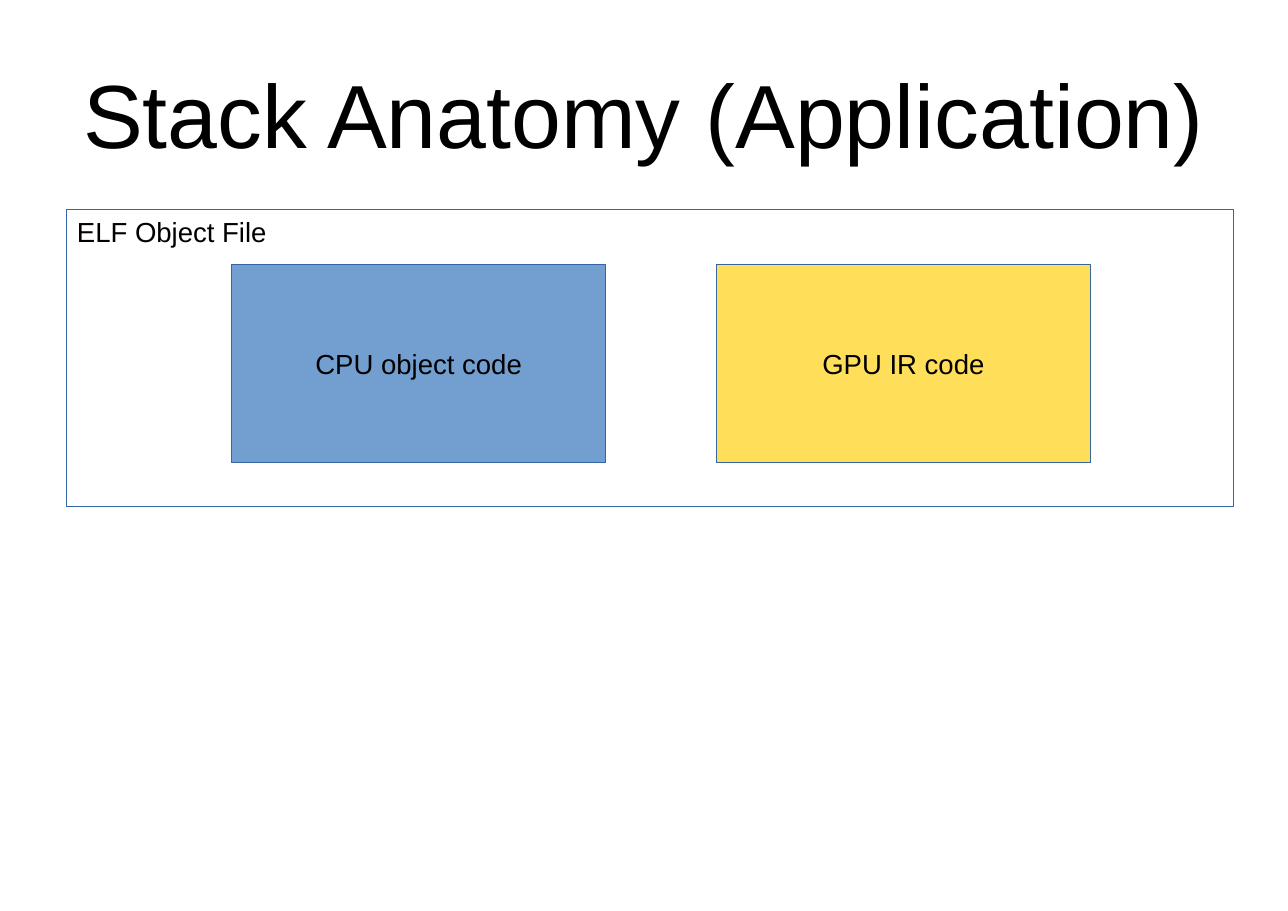
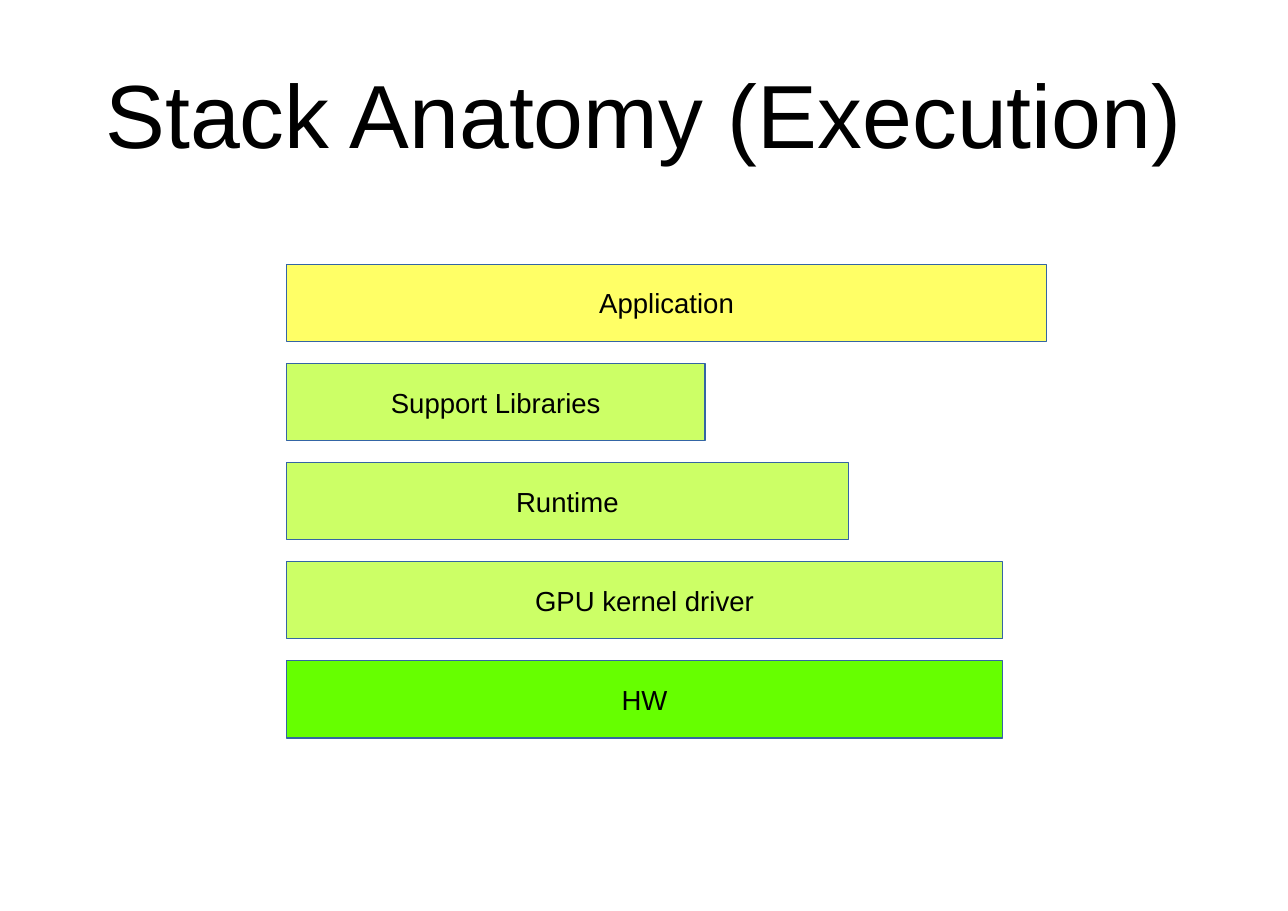
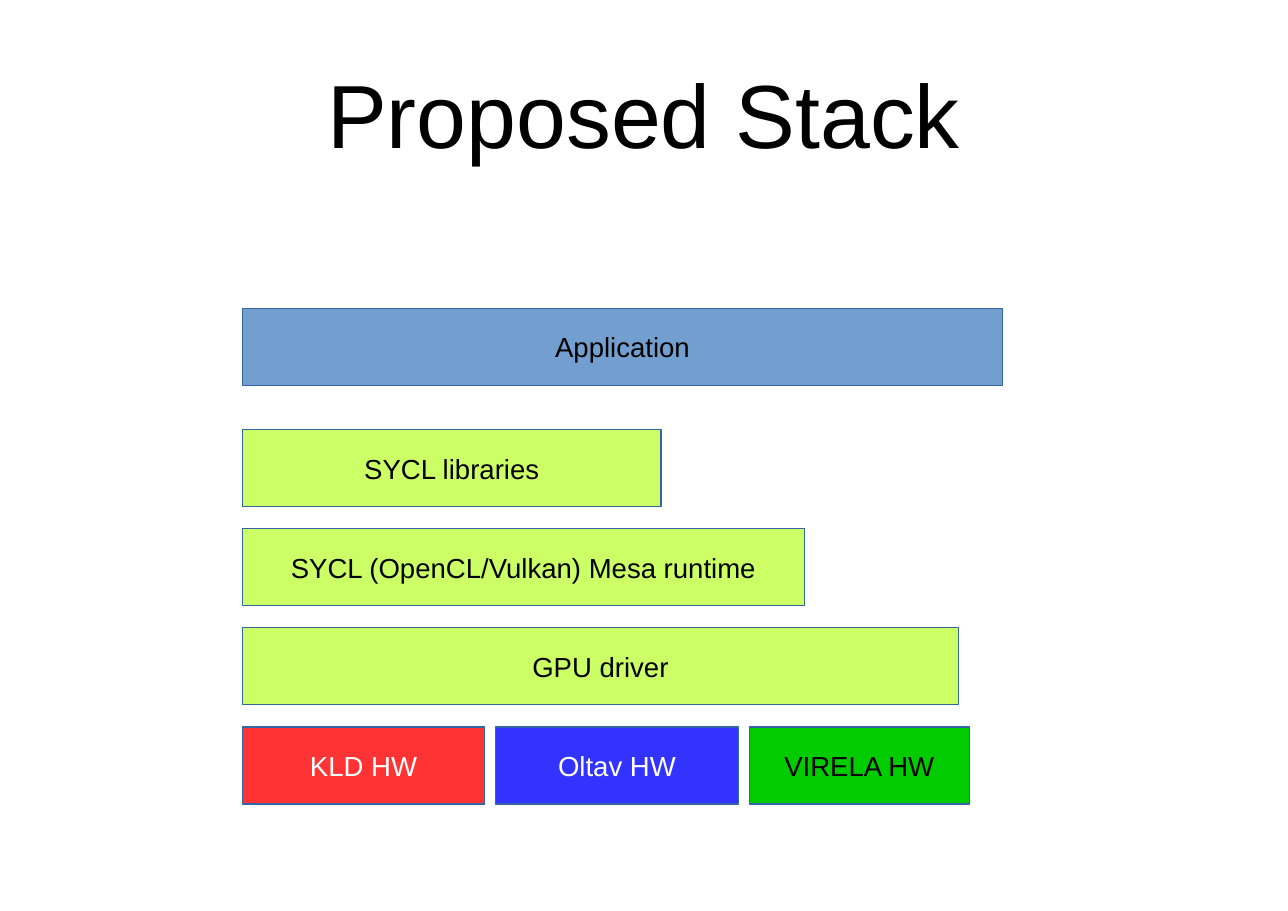
"""Build three slides that show the layers of a GPU compute stack."""
from dataclasses import dataclass

from pptx import Presentation
from pptx.dml.color import RGBColor
from pptx.enum.shapes import MSO_SHAPE
from pptx.enum.text import MSO_ANCHOR as Anchor, MSO_AUTO_SIZE as AutoSize, PP_ALIGN as Align
from pptx.util import Inches, Pt


@dataclass(frozen=True)
class Theme:
    font: str = "Arial"
    title_size: float = 58.6
    body_size: float = 18
    black: str = "000000"
    white: str = "FFFFFF"
    outline: str = "3465A4"
    blue: str = "729FCF"
    amber: str = "FFDE59"
    yellow: str = "FFFF66"
    lime: str = "CCFF66"
    green: str = "66FF00"
    red: str = "FF3333"
    deep_blue: str = "3333FF"
    deep_green: str = "00CC00"


THEME = Theme()
SLIDE_SIZE = (11.69, 8.27)
TITLE_BOX = (0.58, 0.33, 10.52, 1.38)
TITLE_ONLY = 5

OBJECT_FILE = {
    "title": "Stack Anatomy (Application)",
    "label": "ELF Object File",
    "frame": (0.6, 1.9, 10.6, 2.7),
    "parts": [("CPU object code", THEME.blue), ("GPU IR code", THEME.amber)],
}
PART_LEFT, PART_TOP, PART_WIDTH, PART_HEIGHT, PART_GAP = 2.1, 2.4, 3.4, 1.8, 1

LAYER_HEIGHT, LAYER_GAP, COLUMN_GAP = 0.7, 0.2, 0.1
STACKS = [
    {
        "title": "Stack Anatomy (Execution)",
        "origin": (2.6, 2.4),
        "first_gap": LAYER_GAP,
        "layers": [
            [("Application", 6.9, THEME.yellow, THEME.black)],
            [("Support Libraries", 3.8, THEME.lime, THEME.black)],
            [("Runtime", 5.1, THEME.lime, THEME.black)],
            [("GPU kernel driver", 6.5, THEME.lime, THEME.black)],
            [("HW", 6.5, THEME.green, THEME.black)],
        ],
    },
    {
        "title": "Proposed Stack",
        "origin": (2.2, 2.8),
        "first_gap": 2 * LAYER_GAP,
        "layers": [
            [("Application", 6.9, THEME.blue, THEME.black)],
            [("SYCL libraries", 3.8, THEME.lime, THEME.black)],
            [("SYCL (OpenCL/Vulkan) Mesa runtime", 5.1, THEME.lime, THEME.black)],
            [("GPU driver", 6.5, THEME.lime, THEME.black)],
            [
                ("KLD HW", 2.2, THEME.red, THEME.white),
                ("Oltav HW", 2.2, THEME.deep_blue, THEME.white),
                ("VIRELA HW", 2, THEME.deep_green, THEME.black),
            ],
        ],
    },
]


def write_text(shape, text, size=THEME.body_size, color=THEME.black,
               align=Align.CENTER, anchor=Anchor.MIDDLE):
    """Put one formatted paragraph into a shape."""
    frame = shape.text_frame
    frame.word_wrap = True
    frame.vertical_anchor = anchor
    frame.text = text
    paragraph = frame.paragraphs[0]
    paragraph.alignment = align
    font = paragraph.runs[0].font
    font.name, font.size = THEME.font, Pt(size)
    font.color.rgb = RGBColor.from_string(color)


def add_box(slide, box, text, fill=None, **text_format):
    """Add an outlined rectangle with text, hollow unless a fill is given."""
    shape = slide.shapes.add_shape(MSO_SHAPE.RECTANGLE, *map(Inches, box))
    shape.shadow.inherit = False
    shape.line.color.rgb = RGBColor.from_string(THEME.outline)
    shape.line.width = Pt(0)
    if fill:
        shape.fill.solid()
        shape.fill.fore_color.rgb = RGBColor.from_string(fill)
    else:
        shape.fill.background()
    write_text(shape, text, **text_format)


def add_titled_slide(presentation, text):
    """Add a title-only slide with the shared title style."""
    slide = presentation.slides.add_slide(presentation.slide_layouts[TITLE_ONLY])
    title = slide.shapes.title
    title.left, title.top, title.width, title.height = map(Inches, TITLE_BOX)
    frame = title.text_frame
    frame.margin_left = frame.margin_top = frame.margin_right = frame.margin_bottom = 0
    frame.auto_size = AutoSize.SHAPE_TO_FIT_TEXT
    write_text(title, text, size=THEME.title_size)
    return slide


def add_object_file_slide(presentation, content):
    """Show the parts of the object file side by side in a frame."""
    slide = add_titled_slide(presentation, content["title"])
    add_box(slide, content["frame"], content["label"], align=Align.LEFT, anchor=Anchor.TOP)
    for index, (text, fill) in enumerate(content["parts"]):
        left = PART_LEFT + index * (PART_WIDTH + PART_GAP)
        add_box(slide, (left, PART_TOP, PART_WIDTH, PART_HEIGHT), text, fill)


def add_stack_slide(presentation, stack):
    """Show layers from top to bottom, each one a row of boxes."""
    slide = add_titled_slide(presentation, stack["title"])
    stack_left, top = stack["origin"]
    gap = stack["first_gap"]
    for layer in stack["layers"]:
        left = stack_left
        for text, width, fill, color in layer:
            add_box(slide, (left, top, width, LAYER_HEIGHT), text, fill, color=color)
            left += width + COLUMN_GAP
        top += LAYER_HEIGHT + gap
        gap = LAYER_GAP


def main():
    """Build and save the presentation."""
    presentation = Presentation()
    presentation.slide_width, presentation.slide_height = map(Inches, SLIDE_SIZE)
    add_object_file_slide(presentation, OBJECT_FILE)
    for stack in STACKS:
        add_stack_slide(presentation, stack)
    presentation.save("out.pptx")


if __name__ == "__main__":
    main()
